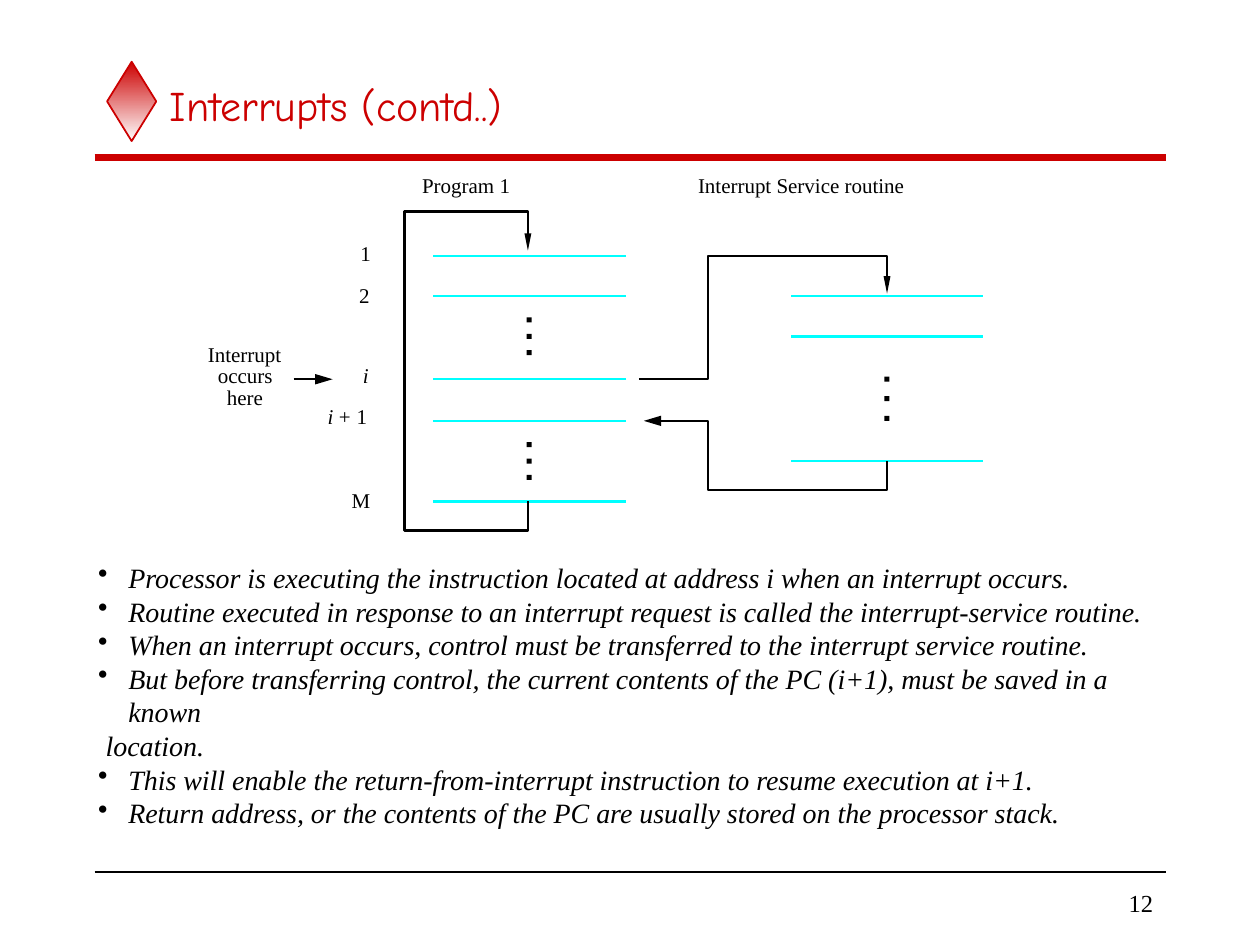
import pptx
import pptx.dml.color
import pptx.enum.dml
import pptx.enum.shapes
import pptx.enum.text
import pptx.oxml
import pptx.oxml.ns
import pptx.util
from pptx.util import Inches

COLORS = {"red": "CC0000", "black": "000000", "cyan": "00FFFF", "white": "FFFFFF"}
SERIF = "Times New Roman"
DIAGRAM_LINE = 1.39

TITLE = "Interrupts (contd..)"
PAGE_NUMBER = "12"
BULLETS = [  # text, has a bullet
    ("Processor is executing the instruction located at address i when an interrupt occurs.", True),
    ("Routine executed in response to an interrupt request is called the interrupt-service routine.", True),
    ("When an interrupt occurs, control must be transferred to the interrupt service routine.", True),
    ("But before transferring control, the current contents of the PC (i+1), must be saved in a known", True),
    ("location.", False),
    ("This will enable the return-from-interrupt instruction to resume execution at i+1.", True),
    ("Return address, or the contents of the PC are usually stored on the processor stack.", True),
]
LABELS = [  # text, left, top, width, italic
    ("Interrupt Service routine", 5.54, 1.37, 1.66, False),
    ("Program 1", 3.35, 1.37, 0.72, False),
    ("Interrupt", 1.65, 2.71, 0.62, False),
    ("occurs", 1.73, 2.88, 0.46, False),
    ("here", 1.8, 3.05, 0.31, False),
    ("1", 2.86, 1.91, 0.1, False),
    ("2", 2.85, 2.24, 0.1, False),
    ("i", 2.88, 2.88, 0.06, True),
    ("i", 2.6, 3.2, 0.06, True),
    ("+", 2.69, 3.2, 0.11, False),
    ("1", 2.83, 3.2, 0.1, False),
    ("M", 2.79, 3.87, 0.17, False),
]
INSTRUCTION_LINES = [  # left, right, heights
    (3.44, 4.97, (2.03, 2.35, 3.01, 3.34, 3.98)),
    (6.28, 7.8, (2.35, 2.67, 3.66)),
]
ELLIPSES = [  # centre x, first centre y, step
    (4.2, 2.54, 0.13),
    (4.2, 3.53, 0.13),
    (7.04, 3.01, 0.155),
]
DOT = 0.04
FLOWS = [  # points ending at the arrow tip, arrowhead width
    ([(4.19, 3.98), (4.19, 4.21), (3.21, 4.21), (3.21, 1.68), (4.19, 1.68), (4.19, 1.99)], "sm"),
    ([(5.07, 3.01), (5.62, 3.01), (5.62, 2.03), (7.04, 2.03), (7.04, 2.33)], "sm"),
    ([(7.04, 3.66), (7.04, 3.89), (5.62, 3.89), (5.62, 3.34), (5.11, 3.34)], "med"),
]
INTERRUPT_ARROW = (2.33, 3.01, 2.64, 3.01)


def color(name):
    return pptx.dml.color.RGBColor.from_string(COLORS[name])


def add_element(parent, tag, **attributes):
    element = pptx.oxml.ns.qn(tag)
    child = parent.makeelement(element, attributes)
    parent.append(child)
    return child


def set_line(shape, name, width):
    shape.line.color.rgb = color(name)
    shape.line.width = pptx.util.Pt(width)


def add_arrowhead(shape, width):
    add_element(shape.line._get_or_add_ln(), "a:tailEnd", type="triangle", w=width, len="lg")


def add_line(slide, x1, y1, x2, y2, name, width):
    line = slide.shapes.add_connector(
        pptx.enum.shapes.MSO_CONNECTOR.STRAIGHT, *map(Inches, (x1, y1, x2, y2)))
    set_line(line, name, width)
    add_element(line._element.spPr, "a:effectLst")
    return line


def add_flow(slide, points, head_width):
    points = [(Inches(x), Inches(y)) for x, y in points]
    builder = slide.shapes.build_freeform(*points[0])
    builder.add_line_segments(points[1:], close=False)
    flow = builder.convert_to_shape()
    flow.shadow.inherit = False
    flow.fill.background()
    set_line(flow, "black", DIAGRAM_LINE)
    add_arrowhead(flow, head_width)


def format_font(font, name, size, color_name, italic=False):
    values = {"name": name, "size": pptx.util.Pt(size), "italic": italic}
    for attribute, value in values.items():
        setattr(font, attribute, value)
    font.color.rgb = color(color_name)


def add_text_frame(slide, box, **values):
    frame = slide.shapes.add_textbox(*map(Inches, box)).text_frame
    for attribute, value in values.items():
        setattr(frame, attribute, value)
    return frame


def add_heading(slide):
    diamond = slide.shapes.add_shape(
        pptx.enum.shapes.MSO_SHAPE.DIAMOND, *map(Inches, (0.85, 0.49, 0.39, 0.63)))
    diamond.shadow.inherit = False
    diamond.fill.gradient()
    diamond.fill.gradient_angle = 270
    for stop, name in zip(diamond.fill.gradient_stops, ("red", "white")):
        stop.color.rgb = color(name)
    set_line(diamond, "red", 1)
    add_line(slide, 0.75, 1.25, 9.25, 1.25, "red", 4)
    frame = add_text_frame(slide, (1.25, 0.5, 8, 0.67), text=TITLE, word_wrap=True,
                           vertical_anchor=pptx.enum.text.MSO_ANCHOR.MIDDLE)
    format_font(frame.paragraphs[0].runs[0].font, "Comic Neue", 24, "red")


def add_footer(slide):
    add_line(slide, 0.75, 6.92, 9.25, 6.92, "black", 1)
    frame = add_text_frame(slide, (7.83, 7, 1.42, 0.33), text=PAGE_NUMBER, word_wrap=True,
                           vertical_anchor=pptx.enum.text.MSO_ANCHOR.MIDDLE)
    frame.paragraphs[0].alignment = pptx.enum.text.PP_ALIGN.RIGHT
    format_font(frame.paragraphs[0].runs[0].font, SERIF, 14, "black")


def add_diagram(slide):
    for text, left, top, width, italic in LABELS:
        frame = add_text_frame(slide, (left, top, width, 0.2), text=text, word_wrap=False,
                               auto_size=pptx.enum.text.MSO_AUTO_SIZE.SHAPE_TO_FIT_TEXT,
                               margin_left=0, margin_top=0, margin_right=0, margin_bottom=0)
        format_font(frame.paragraphs[0].runs[0].font, SERIF, 12, "black", italic)
    for left, right, heights in INSTRUCTION_LINES:
        for y in heights:
            add_line(slide, right, y, left, y, "cyan", DIAGRAM_LINE)
    for points, head_width in FLOWS:
        add_flow(slide, points, head_width)
    add_arrowhead(add_line(slide, *INTERRUPT_ARROW, "black", DIAGRAM_LINE), "med")
    for x, first_y, step in ELLIPSES:
        for index in range(3):
            y = first_y + index * step
            dot = slide.shapes.add_shape(
                pptx.enum.shapes.MSO_SHAPE.RECTANGLE,
                *map(Inches, (x - DOT / 2, y - DOT / 2, DOT, DOT)))
            dot.shadow.inherit = False
            dot.fill.solid()
            dot.fill.fore_color.rgb = color("black")
            dot.line.fill.background()


def add_bullets(slide):
    frame = add_text_frame(slide, (0.68, 4.4, 8.71, 1.97), word_wrap=True)
    for index, (text, bulleted) in enumerate(BULLETS):
        paragraph = frame.add_paragraph() if index else frame.paragraphs[0]
        properties = paragraph._p.get_or_add_pPr()
        indent = Inches(0.24 if bulleted else 0.06)
        properties.set("marL", str(indent))
        properties.set("indent", str(-indent if bulleted else 0))
        if bulleted:
            bullet_color = add_element(properties, "a:buClr")
            add_element(bullet_color, "a:srgbClr", val=COLORS["black"])
            add_element(properties, "a:buChar", char="•")
        run = paragraph.add_run()
        run.text = text
        format_font(run.font, SERIF, 16, "black", True)


def main():
    presentation = pptx.Presentation()
    presentation.slide_width, presentation.slide_height = Inches(10), Inches(7.5)
    slide = presentation.slides.add_slide(presentation.slide_layouts[6])
    add_heading(slide)
    add_footer(slide)
    add_diagram(slide)
    add_bullets(slide)
    presentation.save("out.pptx")


if __name__ == "__main__":
    main()
